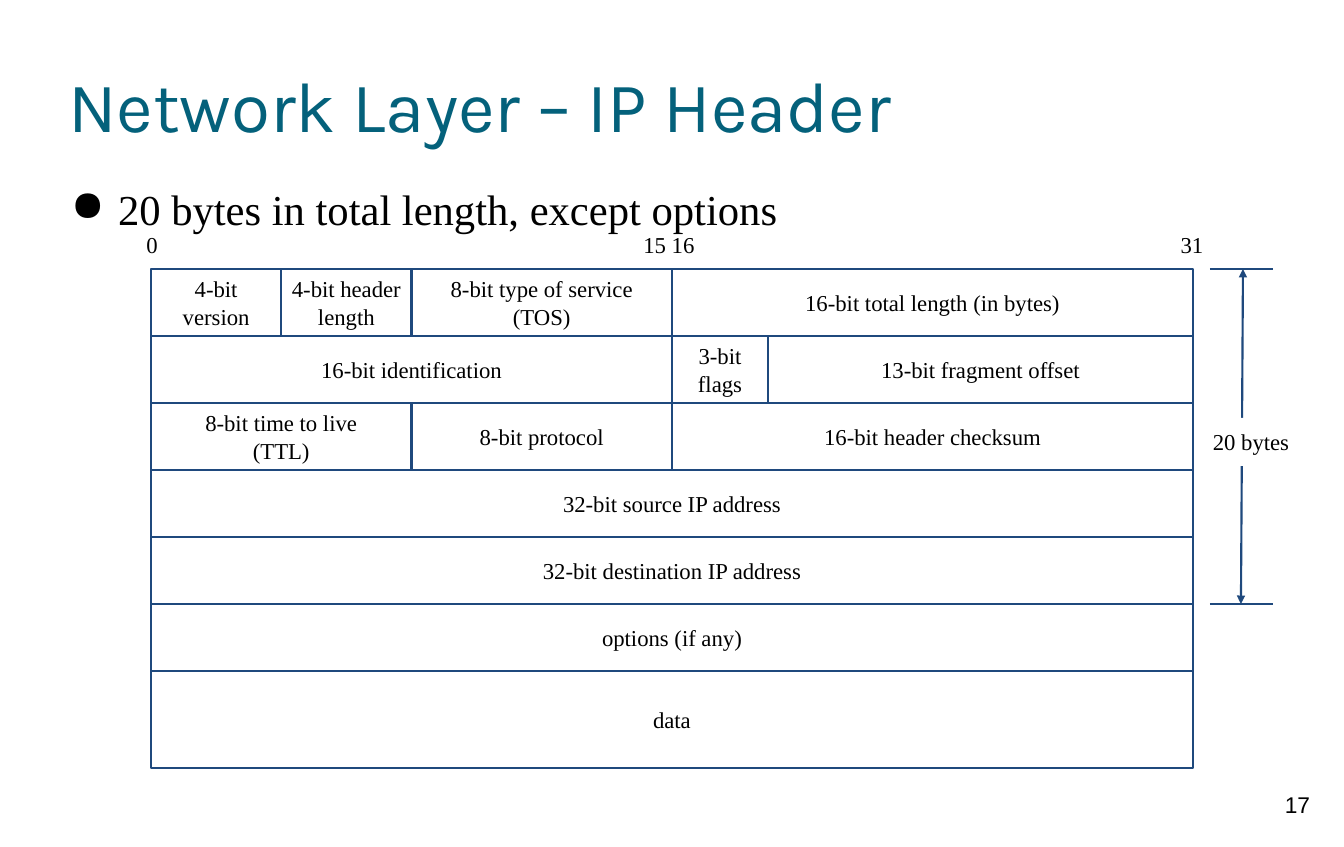
import lxml.etree
import pptx
import pptx.dml.color
import pptx.enum.shapes
import pptx.enum.text
import pptx.oxml.ns
import pptx.util

PX = 914400 / 102.4
BLACK = pptx.dml.color.RGBColor(0x00, 0x00, 0x00)
WHITE = pptx.dml.color.RGBColor(0xFF, 0xFF, 0xFF)
NAVY = pptx.dml.color.RGBColor(0x1F, 0x49, 0x7D)
TEAL = pptx.dml.color.RGBColor(0x04, 0x61, 0x7B)
SERIF = "Times New Roman"
LEFT = pptx.enum.text.PP_ALIGN.LEFT
CENTER = pptx.enum.text.PP_ALIGN.CENTER
TOP = pptx.enum.text.MSO_ANCHOR.TOP
MIDDLE = pptx.enum.text.MSO_ANCHOR.MIDDLE
qn = pptx.oxml.ns.qn

presentation = pptx.Presentation()
presentation.slide_width = round(1344 * PX)
presentation.slide_height = round(847 * PX)
slide = presentation.slides.add_slide(presentation.slide_layouts[6])


def add_box(box, text, size=16, font=SERIF, color=BLACK, align=CENTER,
            anchor=TOP, inset=9, fill=None, outline=None):
    """Add a rectangle with one paragraph; box is left, top, width, height in px."""
    lengths = [round(value * PX) for value in box]
    if fill is None and outline is None:
        shape = slide.shapes.add_textbox(*lengths)
    else:
        shape = slide.shapes.add_shape(
            pptx.enum.shapes.MSO_SHAPE.RECTANGLE, *lengths)
        shape.shadow.inherit = False
        for part, part_color in ((shape.fill, fill), (shape.line.fill, outline)):
            if part_color is None:
                part.background()
            else:
                part.solid()
                part.fore_color.rgb = part_color
        if outline is not None:
            shape.line.width = pptx.util.Pt(1.5)
    frame = shape.text_frame
    frame.word_wrap = True
    frame.vertical_anchor = anchor
    frame.margin_left = frame.margin_right = round(inset * PX)
    frame.margin_top = frame.margin_bottom = round(inset * PX)
    paragraph = frame.paragraphs[0]
    paragraph.text = text
    paragraph.alignment = align
    paragraph.font.size = pptx.util.Pt(size)
    paragraph.font.name = font
    paragraph.font.color.rgb = color
    return paragraph


def add_line(x1, y1, x2, y2):
    line = slide.shapes.add_connector(
        pptx.enum.shapes.MSO_CONNECTOR.STRAIGHT,
        *[round(value * PX) for value in (x1, y1, x2, y2)])
    line.line.color.rgb = NAVY
    line.line.width = pptx.util.Pt(1.5)
    lxml.etree.SubElement(line._element.spPr, qn("a:effectLst"))
    return line


# Title, bullet and page number
add_box((68, 34, 1209, 141), "Network Layer – IP Header", size=50, font="Karla",
        color=TEAL, align=LEFT, anchor=MIDDLE, inset=0)
bullet = add_box((67, 175, 1212, 65), "20 bytes in total length, except options",
                 size=30, align=LEFT, inset=0)
bullet.line_spacing = 1.15
properties = bullet._p.get_or_add_pPr()
properties.set("marL", str(round(51 * PX)))
properties.set("indent", str(round(-47 * PX)))
bullet_char = lxml.etree.Element(qn("a:buChar"), char="●")
properties.find(qn("a:lnSpc")).addnext(bullet_char)
add_box((1257, 781, 81, 65), "17", font="Arial", inset=10)

# Header fields, row by row: (width, text)
TABLE_LEFT, TABLE_TOP = 151, 269
FULL, HALF, QUARTER, EIGHTH, FLAGS = 1042, 521, 260.5, 130.25, 96
ROW_HEIGHT, DATA_HEIGHT = 67, 97
field_rows = [
    (ROW_HEIGHT, [(EIGHTH, "4-bit\nversion"), (EIGHTH, "4-bit header\nlength"),
                  (QUARTER, "8-bit type of service\n(TOS)"),
                  (HALF, "16-bit total length (in bytes)")]),
    (ROW_HEIGHT, [(HALF, "16-bit identification"), (FLAGS, "3-bit flags"),
                  (HALF - FLAGS, "13-bit fragment offset")]),
    (ROW_HEIGHT, [(QUARTER, "8-bit time to live\n(TTL)"),
                  (QUARTER, "8-bit protocol"), (HALF, "16-bit header checksum")]),
    (ROW_HEIGHT, [(FULL, "32-bit source IP address")]),
    (ROW_HEIGHT, [(FULL, "32-bit destination IP address")]),
    (ROW_HEIGHT, [(FULL, "options (if any)")]),
    (DATA_HEIGHT, [(FULL, "data")]),
]
top = TABLE_TOP
for height, fields in field_rows:
    left = TABLE_LEFT
    for width, text in fields:
        add_box((left, top, width, height), text, anchor=MIDDLE, outline=NAVY)
        left += width
    top += height

# Bit numbers above the fields
for center, text in ((152, "0"), (669, "15 16"), (1192, "31")):
    add_box((center - 40, 221, 80, 48), text, inset=10)

# Bracket for the fixed part of the header
HEADER_BOTTOM = TABLE_TOP + 5 * ROW_HEIGHT
for y in (TABLE_TOP, HEADER_BOTTOM):
    add_line(1210, y, 1273, y)
arrow = add_line(1243, TABLE_TOP, 1241, HEADER_BOTTOM)
for end in ("a:headEnd", "a:tailEnd"):
    lxml.etree.SubElement(arrow.line._get_or_add_ln(), qn(end), type="triangle")
add_box((1202, 418, 98, 48), "20 bytes", inset=10, fill=WHITE)

presentation.save("out.pptx")
